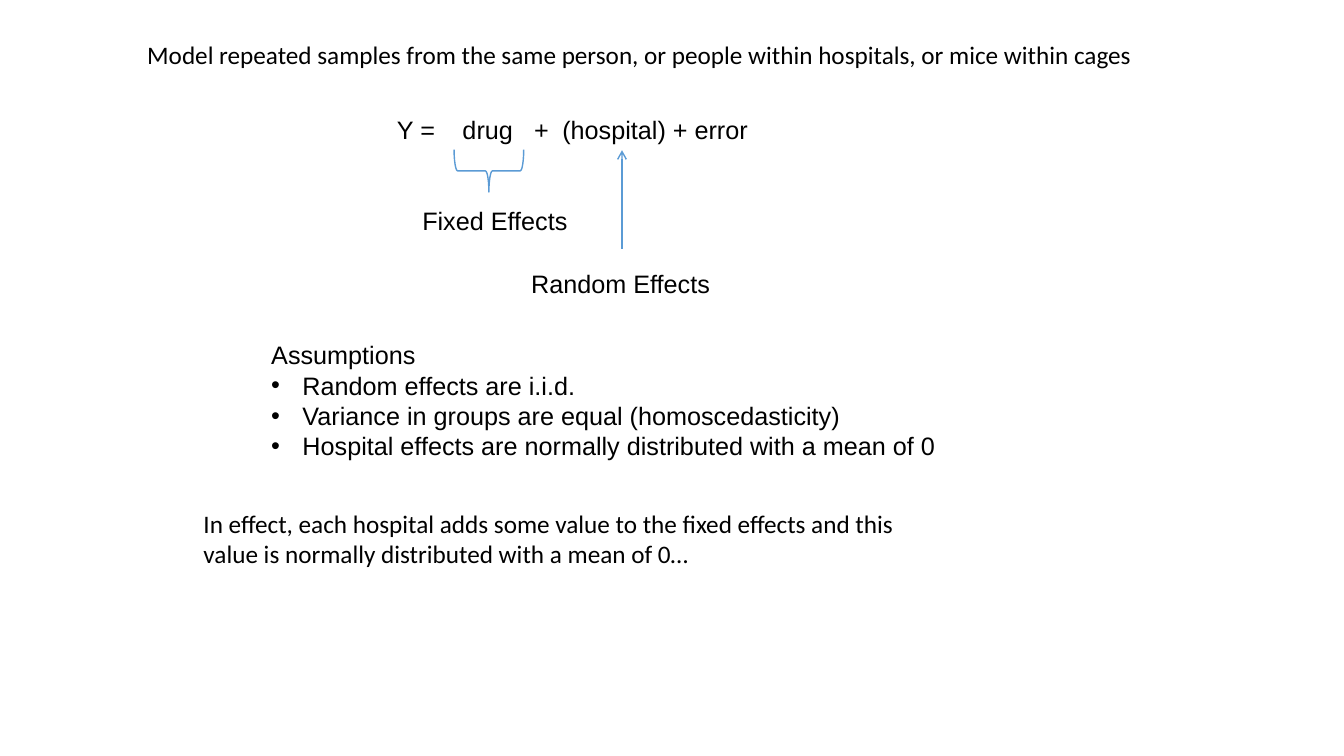
from lxml.etree import SubElement
from pptx import Presentation
from pptx.dml.color import RGBColor
from pptx.enum.shapes import MSO_CONNECTOR, MSO_SHAPE
from pptx.enum.text import MSO_ANCHOR, MSO_AUTO_SIZE, PP_ALIGN
from pptx.oxml.ns import qn
from pptx.util import Inches, Pt

COLORS = {"text": "000000", "accent": "5B9BD5"}

deck = Presentation()
deck.slide_width, deck.slide_height = Inches(13.33), Inches(7.5)
slide = deck.slides.add_slide(deck.slide_layouts[1])
column, row = deck.slide_width / 100, deck.slide_height / 100
line_height = 5.33


def place(left, top, width, height):
    return int(left * column), int(top * row), int(width * column), int(height * row)


def write(holder, box, words, font_name):
    holder.left, holder.top, holder.width, holder.height = place(*box)
    frame = holder.text_frame
    frame.text = words
    frame.word_wrap = False
    frame.auto_size = MSO_AUTO_SIZE.SHAPE_TO_FIT_TEXT
    frame.vertical_anchor = MSO_ANCHOR.TOP
    for paragraph in frame.paragraphs:
        paragraph.alignment = PP_ALIGN.LEFT
        paragraph.space_before = Pt(0)
        for run in paragraph.runs:
            run.font.name = font_name
            run.font.size = Pt(18)
            run.font.color.rgb = RGBColor.from_string(COLORS["text"])
    return frame.paragraphs


write(slide.shapes.title, (10.2, 4.53, 75.6, line_height),
      "Model repeated samples from the same person, or people within hospitals, "
      "or mice within cages", "Calibri")

assumptions = write(slide.placeholders[1], (19.43, 44.27, 51.38, 17.47),
                    "Assumptions\n"
                    "Random effects are i.i.d.\n"
                    "Variance in groups are equal (homoscedasticity)\n"
                    "Hospital effects are normally distributed with a mean of 0", "Arial")
for position, assumption in enumerate(assumptions):
    properties = assumption._p.get_or_add_pPr()
    indent = Inches(0.31) if position else 0
    properties.set("marL", str(indent))
    properties.set("indent", str(-indent))
    if position:
        SubElement(properties, qn("a:buFont"), typeface="Arial")
        SubElement(properties, qn("a:buChar"), char="•")
    else:
        SubElement(properties, qn("a:buNone"))

passages = [
    ((28.8, 14.4, 28.43, line_height), "Y =\tdrug\t+\t(hospital) + error", "Arial"),
    ((30.68, 26.53, 12.45, line_height), "Fixed Effects", "Arial"),
    ((38.78, 34.8, 14.93, line_height), "Random Effects", "Arial"),
    ((14.4, 66.53, 54, 13.47),
     "In effect, each hospital adds some value to the fixed effects and this\n"
     "value is normally distributed with a mean of 0…", "Calibri"),
]
for box, words, font_name in passages:
    paragraphs = write(slide.shapes.add_textbox(*place(*box)), box, words, font_name)
    if "\t" in words:
        term_stops = SubElement(paragraphs[0]._p.get_or_add_pPr(), qn("a:tabLst"))
        for stop in (0.65, 1.36, 1.64):
            SubElement(term_stops, qn("a:tab"), pos=str(Inches(stop)), algn="l")

fixed_brace = slide.shapes.add_shape(MSO_SHAPE.LEFT_BRACE, *place(34.8, 18, 3.15, 9.2))
fixed_brace.rotation = 270
fixed_brace.shadow.inherit = False
fixed_brace.fill.background()

random_arrow = slide.shapes.add_connector(
    MSO_CONNECTOR.STRAIGHT, *place(46.28, 32.93, 46.28, 19.87))
for mark in (fixed_brace, random_arrow):
    mark.line.color.rgb = RGBColor.from_string(COLORS["accent"])
    mark.line.width = Pt(1)
SubElement(random_arrow.line._get_or_add_ln(), qn("a:tailEnd"), type="arrow")
SubElement(random_arrow._element.spPr, qn("a:effectLst"))

deck.save("out.pptx")
